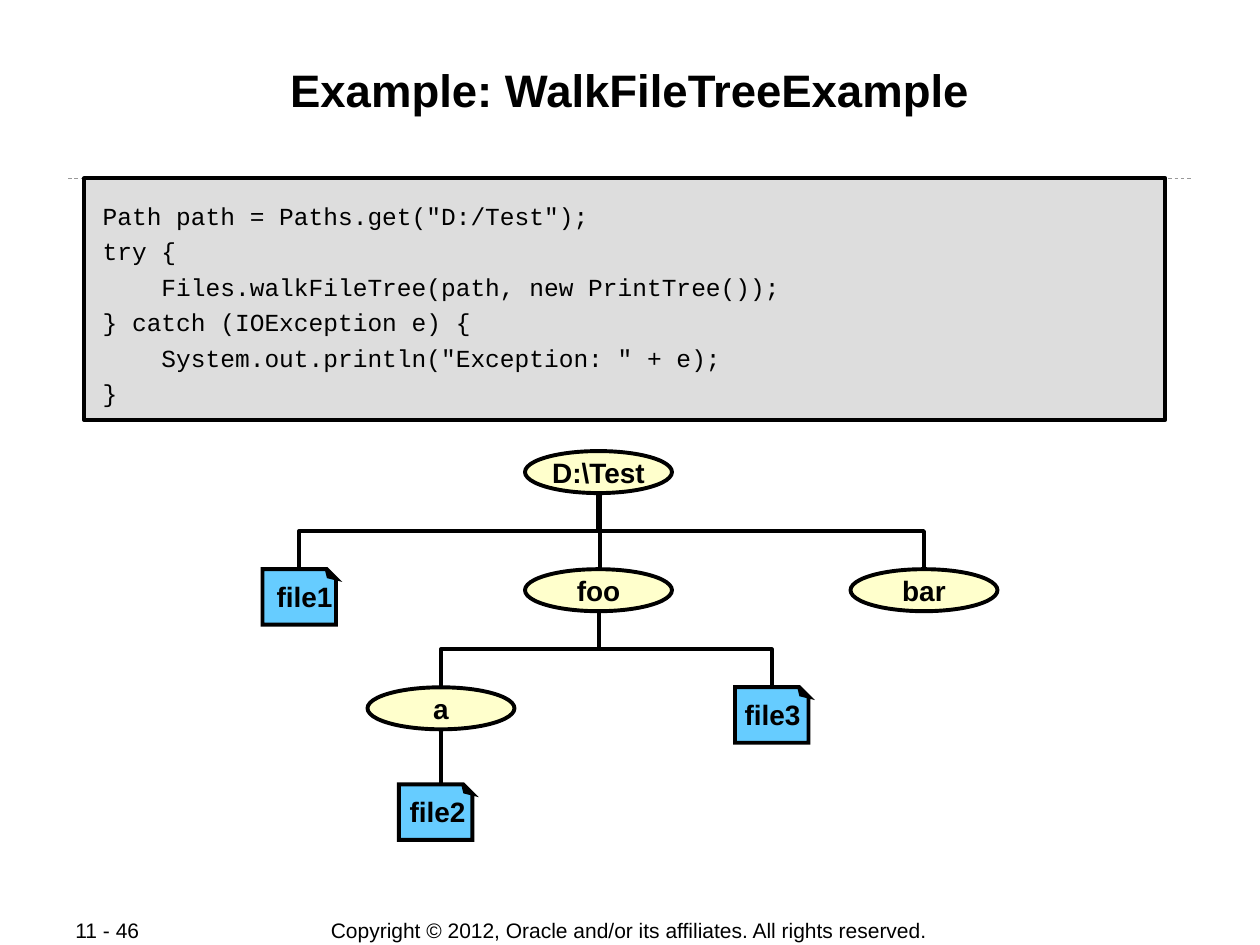
"""Build the WalkFileTreeExample slide with its code box and directory tree."""
from lxml.etree import SubElement
from pptx import Presentation
from pptx.dml.color import RGBColor
from pptx.enum.dml import MSO_LINE
from pptx.enum.shapes import MSO_CONNECTOR, MSO_SHAPE
from pptx.enum.text import MSO_ANCHOR, PP_ALIGN
from pptx.oxml.ns import qn
from pptx.util import Pt

BLACK = RGBColor(0x00, 0x00, 0x00)
RULE = RGBColor(0x99, 0x99, 0x99)
CODE_BG = RGBColor(0xDD, 0xDD, 0xDD)
DIR_FILL = RGBColor(0xFF, 0xFF, 0xCC)
FILE_FILL = RGBColor(0x66, 0xCC, 0xFF)

CODE = '''Path path = Paths.get("D:/Test");
try {
    Files.walkFileTree(path, new PrintTree());
} catch (IOException e) {
    System.out.println("Exception: " + e);
}'''

prs = Presentation()
prs.slide_width, prs.slide_height = Pt(720), Pt(540)
s = prs.slides.add_slide(prs.slide_layouts[6])


def write(sp, text, size, margins, bold=False, font="Arial", align=PP_ALIGN.CENTER,
          anchor=MSO_ANCHOR.MIDDLE, wrap=True, gap=0):
    tf = sp.text_frame
    tf.text = text
    tf.word_wrap, tf.vertical_anchor = wrap, anchor
    tf.margin_left, tf.margin_top, tf.margin_right, tf.margin_bottom = map(Pt, margins)
    for i, p in enumerate(tf.paragraphs):
        p.alignment = align
        p.space_before = Pt(gap if i else 0)
        for r in p.runs:
            r.font.size, r.font.bold, r.font.name = Pt(size), bold, font
            r.font.color.rgb = BLACK


def connect(kind, x1, y1, x2, y2, color=BLACK, width=2.25):
    cx = s.shapes.add_connector(kind, Pt(x1), Pt(y1), Pt(x2), Pt(y2))
    cx.line.color.rgb, cx.line.width = color, Pt(width)
    SubElement(cx._element.spPr, qn("a:effectLst"))
    return cx


for text, x, w, align in [
    ("Copyright © 2012, Oracle and/or its affiliates. All rights reserved.", 170, 379, PP_ALIGN.CENTER),
    ("11 - 46", 36, 76, PP_ALIGN.LEFT),
]:
    sp = s.shapes.add_textbox(Pt(x), Pt(524), Pt(w), Pt(15))
    write(sp, text, 12, (7.2, 3.6, 7.2, 3.6), align=align, wrap=False)

rule = connect(MSO_CONNECTOR.STRAIGHT, 39, 102, 681, 102, RULE, 0.5)
rule.line.dash_style = MSO_LINE.DASH

sp = s.shapes.add_shape(MSO_SHAPE.RECTANGLE, Pt(48), Pt(102), Pt(618), Pt(138))
sp.shadow.inherit = False
sp.fill.solid()
sp.fill.fore_color.rgb = CODE_BG
sp.line.color.rgb, sp.line.width = BLACK, Pt(2.25)

title = s.shapes.add_textbox(Pt(48), Pt(34.5), Pt(624), Pt(69))
write(title, "Example: WalkFileTreeExample", 26, (0.72,) * 4, bold=True, anchor=MSO_ANCHOR.TOP)

code = s.shapes.add_textbox(Pt(48), Pt(114), Pt(624), Pt(137))
write(code, CODE, 14, (10.7, 0.72, 0.72, 0.72), font="Courier New",
      align=PP_ALIGN.LEFT, anchor=MSO_ANCHOR.TOP, gap=3.5)

DIR_W, DIR_H, FILE_W, FILE_H = 84, 24, 42, 31.75
ROOT_Y, ROW = 257.75, 67.5
MID_Y, LOW_Y = ROOT_Y + ROW, ROOT_Y + 2 * ROW
FILE2_Y = 448.25
TRUNK_X, A_X = 342, 252

connect(MSO_CONNECTOR.STRAIGHT, TRUNK_X + 0.75, ROOT_Y + DIR_H, TRUNK_X + 0.75, MID_Y)
connect(MSO_CONNECTOR.STRAIGHT, A_X, LOW_Y + DIR_H, A_X, FILE2_Y)

for parent_y, child_x in [(ROOT_Y, 171), (ROOT_Y, 528), (MID_Y, A_X), (MID_Y, 441)]:
    top, bottom = parent_y + DIR_H, parent_y + ROW
    mid_x, mid_y = (TRUNK_X + child_x) / 2, (top + bottom) / 2
    half_h = abs(child_x - TRUNK_X) / 2
    side = 1 if child_x > TRUNK_X else -1
    half_w = side * (bottom - top) / 2
    cx = connect(MSO_CONNECTOR.ELBOW, mid_x + half_w, mid_y - half_h, mid_x - half_w, mid_y + half_h)
    cx._element.spPr.find(qn("a:xfrm")).set("rot", str((180 + 90 * side) * 60000))

for text, x, y in [("D:\\Test", 300, ROOT_Y), ("foo", 300, MID_Y), ("bar", 486, MID_Y), ("a", 210, LOW_Y)]:
    sp = s.shapes.add_shape(MSO_SHAPE.OVAL, Pt(x), Pt(y), Pt(DIR_W), Pt(DIR_H))
    sp.shadow.inherit = False
    sp.fill.solid()
    sp.fill.fore_color.rgb = DIR_FILL
    sp.line.color.rgb, sp.line.width = BLACK, Pt(2.25)
    write(sp, text, 16, (0, 3.6, 0, 3.6), bold=True)

for text, x, y, label_x in [("file1", 150, MID_Y, 150), ("file3", 420, LOW_Y, 417.5), ("file2", 228, FILE2_Y, 226)]:
    sp = s.shapes.add_shape(MSO_SHAPE.FOLDED_CORNER, Pt(x), Pt(y), Pt(FILE_W), Pt(FILE_H))
    sp.shadow.inherit = False
    sp._element.spPr.find(qn("a:xfrm")).set("flipV", "1")
    sp.fill.solid()
    sp.fill.fore_color.rgb = FILE_FILL
    sp.line.color.rgb, sp.line.width = BLACK, Pt(2.25)
    SubElement(sp._element.spPr.find(qn("a:ln")), qn("a:miter")).set("lim", "800000")
    label = s.shapes.add_textbox(Pt(label_x), Pt(y + 2), Pt(48), Pt(27))
    write(label, text, 16, (7.2, 3.6, 7.2, 3.6), bold=True, wrap=False)

prs.save("out.pptx")
